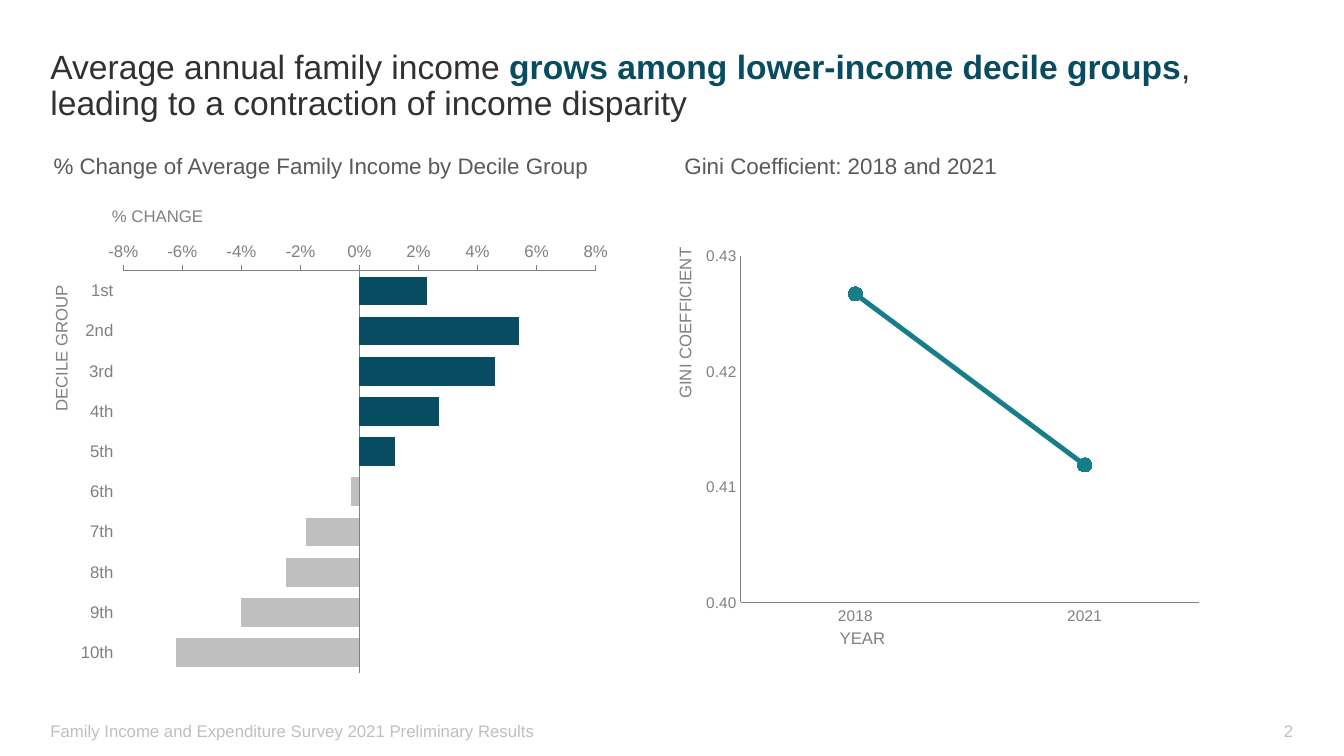
from lxml import etree
from pptx import Presentation
from pptx.chart.data import CategoryChartData
from pptx.dml.color import RGBColor
from pptx.enum import chart as kinds, text
from pptx.oxml import ns
from pptx.util import Cm, Pt

FONT = "Arial"
TEAL, DARK_TEAL = "177E89", "084C61"
INK, HEADING, GREY, PALE = "323031", "595959", "808080", "BFBFBF"


def colour(value):
    return RGBColor.from_string(value)


def style_font(font, size, shade):
    font.name = FONT
    font.size = Pt(size)
    font.color.rgb = colour(shade)


def prepare_frame(frame, anchor):
    frame.word_wrap = True
    frame.vertical_anchor = anchor
    frame.margin_left = frame.margin_right = 0
    frame.margin_top = frame.margin_bottom = 0


def add_title(page, parts):
    title = page.shapes.title
    title.left, title.top, title.width, title.height = Cm(1.27), Cm(1.27), Cm(31.32), Cm(2.57)
    frame = title.text_frame
    prepare_frame(frame, text.MSO_ANCHOR.TOP)
    frame.auto_size = text.MSO_AUTO_SIZE.NONE
    para = frame.paragraphs[0]
    para.alignment = text.PP_ALIGN.LEFT
    para.line_spacing = 0.9
    for words, shade, bold in parts:
        span = para.add_run()
        span.text = words
        style_font(span.font, 24, shade)
        span.font.bold = bold


def add_label(page, words, left, top, width, height=0.51, size=12, shade=GREY,
              align=text.PP_ALIGN.LEFT, anchor=text.MSO_ANCHOR.TOP):
    box = page.shapes.add_textbox(Cm(left), Cm(top), Cm(width), Cm(height))
    prepare_frame(box.text_frame, anchor)
    para = box.text_frame.paragraphs[0]
    para.text = words
    para.alignment = align
    style_font(para.font, size, shade)
    return box


def add_upright_label(page, words, left, top):
    box = add_label(page, words, left, top, 6.73, align=text.PP_ALIGN.RIGHT,
                    anchor=text.MSO_ANCHOR.BOTTOM)
    box.rotation = 270


def place_plot(chart, left, top, width, height):
    area = chart.element.find(".//" + ns.qn("c:plotArea"))
    for layout in area.findall(ns.qn("c:layout")):
        area.remove(layout)
    layout = etree.Element(ns.qn("c:layout"))
    manual = etree.SubElement(layout, ns.qn("c:manualLayout"))
    settings = {"layoutTarget": "inner", "xMode": "edge", "yMode": "edge",
                "x": left, "y": top, "w": width, "h": height}
    for name, value in settings.items():
        etree.SubElement(manual, ns.qn("c:" + name)).set("val", str(value))
    area.insert(0, layout)


def add_chart(page, kind, categories, values, place, size, number_format):
    data = CategoryChartData()
    data.categories = categories
    data.add_series("Series 1", values)
    chart = page.shapes.add_chart(kind, *map(Cm, place), data).chart
    chart.has_legend = chart.has_title = False
    style_font(chart.font, size, GREY)
    chart.plots[0].vary_by_categories = False
    for axis in (chart.category_axis, chart.value_axis):
        axis.has_major_gridlines = False
        axis.major_tick_mark = axis.minor_tick_mark = kinds.XL_TICK_MARK.NONE
        axis.format.line.color.rgb = colour(GREY)
        axis.format.line.width = Pt(0.75)
        style_font(axis.tick_labels.font, size, GREY)
    labels = chart.value_axis.tick_labels
    labels.number_format = number_format
    labels.number_format_is_linked = False
    return chart


def scale_axis(axis, low, high, step):
    axis.minimum_scale, axis.maximum_scale, axis.major_unit = low, high, step


def add_decile_chart(page):
    deciles = ["1st", "2nd", "3rd"] + [f"{rank}th" for rank in range(4, 11)]
    changes = [0.023, 0.054, 0.046, 0.027, 0.012, -0.003, -0.018, -0.025, -0.04, -0.062]
    chart = add_chart(page, kinds.XL_CHART_TYPE.BAR_CLUSTERED, deciles, changes,
                      (1.78, 5.89, 13.84, 11.28), 12, "0%")
    place_plot(chart, 0.096, 0.083, 0.86, 0.898)
    scale_axis(chart.value_axis, -0.08, 0.08, 0.02)
    chart.value_axis.major_tick_mark = kinds.XL_TICK_MARK.OUTSIDE
    chart.category_axis.reverse_order = True
    chart.category_axis.tick_label_position = kinds.XL_TICK_LABEL_POSITION.LOW
    plot = chart.plots[0]
    plot.gap_width = 40
    bars = plot.series[0]
    bars.invert_if_negative = False
    bars.format.fill.solid()
    bars.format.fill.fore_color.rgb = colour(PALE)
    for index, change in enumerate(changes):
        if change > 0:
            fill = bars.points[index].format.fill
            fill.solid()
            fill.fore_color.rgb = colour(DARK_TEAL)


def add_gini_chart(page):
    chart = add_chart(page, kinds.XL_CHART_TYPE.LINE_MARKERS, ["2018", "2021"],
                      [0.4267, 0.4119], (17.53, 6.02, 12.93, 9.93), 11, "0.00")
    place_plot(chart, 0.088, 0.043, 0.894, 0.88)
    scale_axis(chart.value_axis, 0.4, 0.43, 0.01)
    trend = chart.plots[0].series[0]
    trend.smooth = False
    trend.format.line.color.rgb = colour(TEAL)
    trend.format.line.width = Pt(3.5)
    marker = trend.marker
    marker.style = kinds.XL_MARKER_STYLE.CIRCLE
    marker.size = 10
    marker.format.fill.solid()
    marker.format.fill.fore_color.rgb = colour(TEAL)
    marker.format.line.color.rgb = colour(TEAL)


def main():
    deck = Presentation()
    deck.slide_width, deck.slide_height = Cm(33.87), Cm(19.05)
    page = deck.slides.add_slide(deck.slide_layouts.get_by_name("Title Only"))

    add_title(page, [
        ("Average annual family income ", INK, False),
        ("grows among lower-income decile groups", DARK_TEAL, True),
        (", leading to a contraction of income disparity", INK, False),
    ])
    for words, left in (("% Change of Average Family Income by Decile Group", 1.35),
                        ("Gini Coefficient: 2018 and 2021", 17.25)):
        add_label(page, words, left, 3.84, 15.37, 0.69, 16, HEADING)

    add_upright_label(page, "DECILE GROUP", -1.83, 10.29)
    add_decile_chart(page)
    add_label(page, "% CHANGE", 2.82, 5.18, 5.08)

    add_upright_label(page, "GINI COEFFICIENT", 13.89, 9.35)
    add_gini_chart(page)
    add_label(page, "YEAR", 21.16, 15.82, 5.08)

    bottom = text.MSO_ANCHOR.BOTTOM
    add_label(page, "Family Income and Expenditure Survey 2021 Preliminary Results",
              1.27, 17.65, 21.39, 1.02, shade=PALE, anchor=bottom)
    add_label(page, "2", 24.97, 17.65, 7.62, 1.02, shade=PALE,
              align=text.PP_ALIGN.RIGHT, anchor=bottom)

    deck.save("out.pptx")


main()
